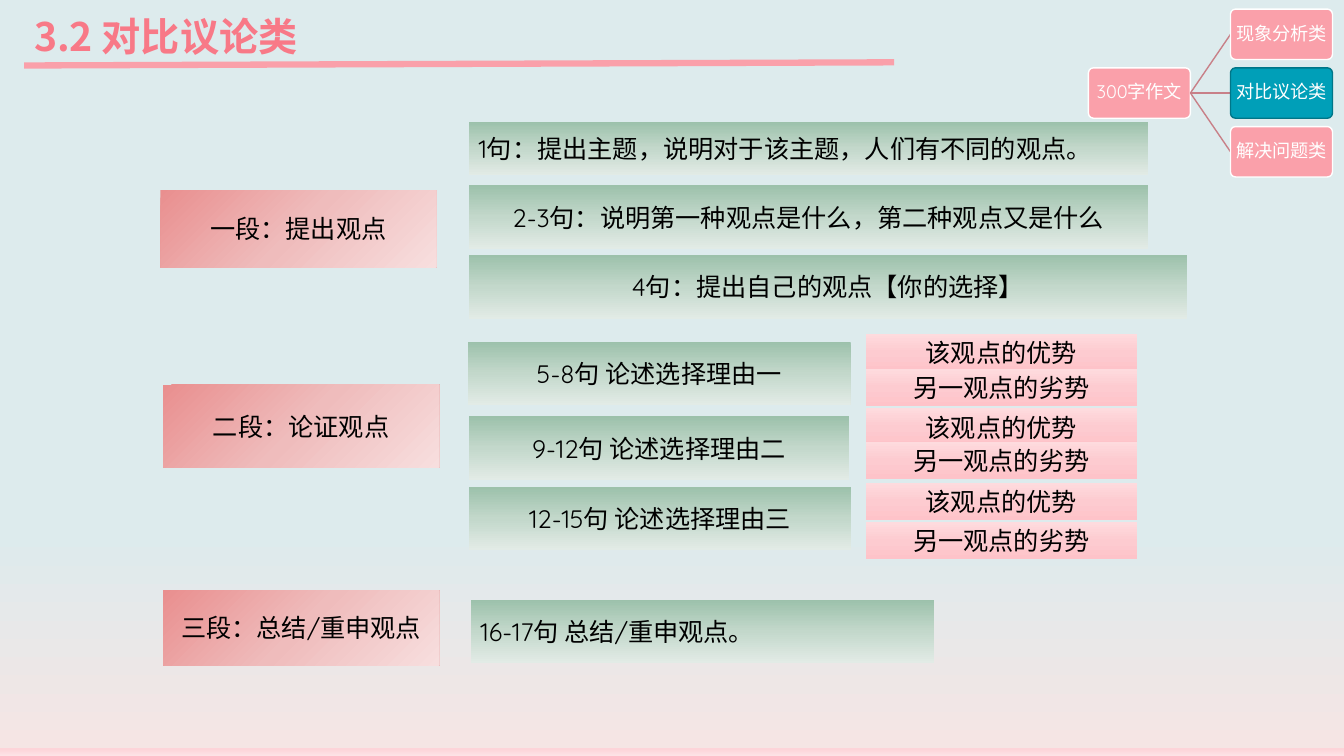
import pptx
import pptx.dml.color
import pptx.enum.shapes
import pptx.enum.text
import pptx.oxml
import pptx.oxml.ns
import pptx.util
from pptx.util import Cm

ALIGN = pptx.enum.text.PP_ALIGN
KIND = pptx.enum.shapes.MSO_SHAPE
QN = pptx.oxml.ns.qn

RED = [(0, "E98F8F"), (50, "EFBCBC"), (100, "F7DEDE")]
GREEN = [(0, "9CC1AB"), (50, "C3D8CB"), (100, "E2EBE6")]
PINK = [(0, "FEDBDE"), (50, "FDCBD0"), (100, "FEC3C9")]
BACK = [(70, "DDEBED"), (99, "F5E5E4"), (99, "FDD4D9"), (100, "FDE3E6")]
ROSE = "FAA0AA"

# text, top, height
STAGES = [
    ("一段：提出观点", 4.04, 4.8, 1.93),
    ("二段：论证观点", 4.11, 9.7, 2.08),
    ("三段：总结/重申观点", 4.11, 14.88, 1.88),
]
# text, left, top, width, height, alignment
STEPS = [
    ("1句：提出主题，说明对于该主题，人们有不同的观点。", 11.81, 3.07, 17.12, 1.35, ALIGN.LEFT),
    ("2-3句：说明第一种观点是什么，第二种观点又是什么", 11.81, 4.67, 17.12, 1.6, ALIGN.CENTER),
    ("4句：提出自己的观点【你的选择】", 11.81, 6.43, 18.11, 1.6, ALIGN.CENTER),
    ("5-8句 论述选择理由一", 11.79, 8.61, 9.65, 1.6, ALIGN.CENTER),
    ("9-12句 论述选择理由二", 11.81, 10.49, 9.6, 1.6, ALIGN.CENTER),
    ("12-15句 论述选择理由三", 11.81, 12.27, 9.65, 1.6, ALIGN.CENTER),
    ("16-17句 总结/重申观点。", 11.86, 15.11, 11.68, 1.6, ALIGN.LEFT),
]
# tops of the strength and the weakness beside each reason
PAIRS = [(8.41, 9.3), (10.29, 11.13), (12.17, 13.16)]
TYPES = ["现象分析类", "对比议论类", "解决问题类"]
TAG_W, TAG_H, TAG_GAP = 2.57, 1.27, 1.48
ROOT_X, TYPE_X, TAG_Y = 27.43, 31.01, 0.23


def color(code):
    return pptx.dml.color.RGBColor.from_string(code)


def blend(fill, root, stops, angle):
    """Give fill, which lies inside the element root, a clockwise gradient."""
    fill.gradient()
    fill.gradient_angle = 360 - angle
    group = root.find(".//" + QN("a:gsLst"))
    for stop in list(group):
        group.remove(stop)
    for place, code in stops:
        stop = pptx.oxml.parse_xml(
            f'<a:gs {pptx.oxml.ns.nsdecls("a")} pos="{place * 1000}">'
            f'<a:srgbClr val="{code}"/></a:gs>')
        group.append(stop)


def write(shape, text, size, code="000000", align=ALIGN.CENTER, face="Quicksand"):
    frame = shape.text_frame
    frame.word_wrap = True
    para = frame.paragraphs[0]
    para.text = text
    para.alignment = align
    para.font.size = pptx.util.Pt(size)
    para.font.name = face
    para.font.color.rgb = color(code)
    return frame


def add_box(slide, text, left, top, width, height, stops, angle=90, align=ALIGN.CENTER):
    box = slide.shapes.add_shape(KIND.RECTANGLE, Cm(left), Cm(top), Cm(width), Cm(height))
    box.shadow.inherit = False
    box.line.fill.background()
    blend(box.fill, box.element, stops, angle)
    frame = write(box, text, 18, align=align)
    frame.vertical_anchor = pptx.enum.text.MSO_ANCHOR.MIDDLE


def add_tag(slide, text, left, top, fill=ROSE, edge="FFFFFF"):
    tag = slide.shapes.add_shape(
        KIND.ROUNDED_RECTANGLE, Cm(left), Cm(top), Cm(TAG_W), Cm(TAG_H))
    tag.adjustments[0] = 0.1
    tag.shadow.inherit = False
    tag.fill.solid()
    tag.fill.fore_color.rgb = color(fill)
    tag.line.color.rgb = color(edge)
    tag.line.width = pptx.util.Pt(1)
    frame = write(tag, text, 13, "FFFFFF")
    frame.vertical_anchor = pptx.enum.text.MSO_ANCHOR.MIDDLE
    frame.margin_left = frame.margin_right = Cm(0.05)
    frame.margin_top = frame.margin_bottom = Cm(0.03)
    frame.paragraphs[0].line_spacing = 0.9


def add_line(slide, start, end, code, width):
    line = slide.shapes.add_connector(
        pptx.enum.shapes.MSO_CONNECTOR.STRAIGHT, *map(Cm, start + end))
    line.line.color.rgb = color(code)
    line.line.width = pptx.util.Pt(width)
    props = line.element.find(QN("p:spPr"))
    props.append(pptx.oxml.parse_xml(f'<a:effectLst {pptx.oxml.ns.nsdecls("a")}/>'))


def add_title(slide):
    title = slide.shapes.add_textbox(Cm(0.61), Cm(0.18), Cm(21.23), Cm(1.45))
    frame = write(title, "3.2 对比议论类", 28, "F87987", ALIGN.LEFT, "Noto Sans CJK SC")
    frame.paragraphs[0].font.bold = True
    add_line(slide, (0.61, 1.65), (22.53, 1.57), ROSE, 4.5)


def add_tree(slide):
    """Draw the essay types, with the current one in teal."""
    mid = TAG_Y + TAG_GAP
    joint = (ROOT_X + TAG_W, mid + TAG_H / 2)
    add_tag(slide, "300字作文", ROOT_X, mid)
    for row, text in enumerate(TYPES):
        top = TAG_Y + row * TAG_GAP
        add_line(slide, joint, (TYPE_X, top + TAG_H / 2), "C88088", 1)
        look = ("009FB8", "007688") if row == 1 else ()
        add_tag(slide, text, TYPE_X, top, *look)


def main():
    deck = pptx.Presentation()
    deck.slide_width, deck.slide_height = Cm(33.87), Cm(19.05)
    slide = deck.slides.add_slide(deck.slide_layouts[6])
    blend(slide.background.fill, slide.element, BACK, 90)
    for text, left, top, height in STAGES:
        add_box(slide, text, left, top, 6.96, height, RED, 45)
    for text, left, top, width, height, align in STEPS:
        add_box(slide, text, left, top, width, height, GREEN, align=align)
    for pair in PAIRS:
        for text, top in zip(("该观点的优势", "另一观点的劣势"), pair):
            add_box(slide, text, 21.82, top, 6.83, 0.94, PINK)
    add_title(slide)
    add_tree(slide)
    deck.save("out.pptx")


if __name__ == "__main__":
    main()
